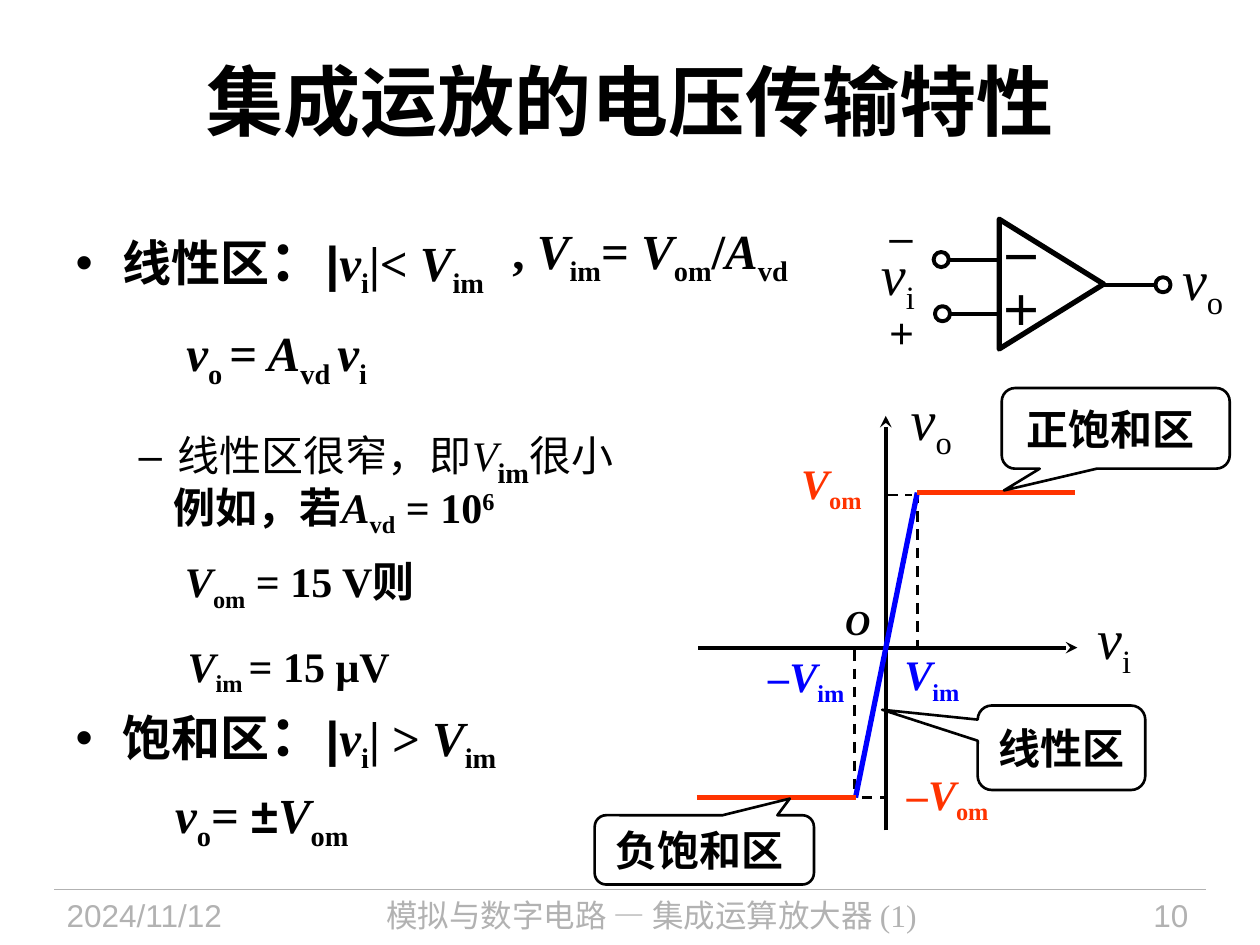
"""Build the slide on the voltage transfer curve of an integrated op-amp."""
from lxml import etree
from pptx import Presentation
from pptx.dml.color import RGBColor
from pptx.enum.dml import MSO_LINE
from pptx.enum.shapes import MSO_CONNECTOR, MSO_SHAPE
from pptx.enum.text import MSO_ANCHOR, MSO_AUTO_SIZE, PP_ALIGN
from pptx.oxml.ns import qn
from pptx.util import Inches, Pt

STRAIGHT = MSO_CONNECTOR.STRAIGHT
CALLOUT = MSO_SHAPE.ROUNDED_RECTANGULAR_CALLOUT
TRIANGLE, OVAL = MSO_SHAPE.ISOSCELES_TRIANGLE, MSO_SHAPE.OVAL
DASH = MSO_LINE.DASH
MIDDLE, NO_FIT = MSO_ANCHOR.MIDDLE, MSO_AUTO_SIZE.NONE
LEFT, CENTER, RIGHT = PP_ALIGN.LEFT, PP_ALIGN.CENTER, PP_ALIGN.RIGHT
COLORS = {"black": "000000", "white": "FFFFFF", "gray": "B2B2B2",
          "red": "FF3300", "blue": "0000FF"}
SANS, SERIF = "Arial", "Times New Roman"
BASELINES = {"_": "-25000", "^": "30000"}


def rgb(name):
    return RGBColor.from_string(COLORS[name])


def var(name, sub):
    return [(name, "i"), (sub, "_")]


def write(p, runs, size=24, color="black", bold=True, font=SERIF):
    """Add (text, flags[, size[, font[, bold]]]) runs; flags: i, _ and ^."""
    for text, flags, *own in runs:
        own_size, own_font, own_bold = own + [size, font, bold][len(own):]
        r = p.add_run()
        r.text = text
        r.font.size, r.font.name = Pt(own_size), own_font
        r.font.bold, r.font.italic = own_bold, "i" in flags
        r.font.color.rgb = rgb(color)
        for mark, value in BASELINES.items():
            if mark in flags:
                r.font._element.set("baseline", value)


def place(sp, box):
    sp.left, sp.top, sp.width, sp.height = map(Inches, box)


def add_text(s, box, runs, align=LEFT, wrap=False, inset=True, spacing=1, **style):
    tf = s.shapes.add_textbox(*map(Inches, box)).text_frame
    tf.word_wrap = wrap
    if not inset:
        tf.margin_left = tf.margin_right = tf.margin_top = tf.margin_bottom = 0
    p = tf.paragraphs[0]
    p.alignment, p.line_spacing = align, spacing
    write(p, runs, **style)


def add_line(s, start, end, color="black", width=2.25, dash=False, arrow=False):
    line = s.shapes.add_connector(STRAIGHT, *map(Inches, start + end))
    line.line.color.rgb, line.line.width = rgb(color), Pt(width)
    if dash:
        line.line.dash_style = DASH
    if arrow:
        etree.SubElement(line.line._get_or_add_ln(), qn("a:tailEnd"), type="stealth")
    etree.SubElement(line._element.spPr, qn("a:effectLst"))


def add_outline(s, kind, box, width, fill=None):
    sp = s.shapes.add_shape(kind, *map(Inches, box))
    sp.shadow.inherit = False
    sp.line.color.rgb, sp.line.width = rgb("black"), Pt(width)
    if fill:
        sp.fill.solid()
        sp.fill.fore_color.rgb = rgb(fill)
    else:
        sp.fill.background()
    return sp


def add_callout(s, box, tip, text):
    sp = add_outline(s, CALLOUT, box, 1.5)
    sp.adjustments[0], sp.adjustments[1] = tip
    tf = sp.text_frame
    tf.word_wrap, tf.vertical_anchor = False, MIDDLE
    tf.paragraphs[0].alignment = CENTER
    write(tf.paragraphs[0], [(text, "")])


def fill_list(sp, box, items, spacing):
    """Write (level, indent without bullet or None, space before, runs) items."""
    place(sp, box)
    tf = sp.text_frame
    tf.auto_size, tf.word_wrap = NO_FIT, True
    for i, (level, indent, before, runs) in enumerate(items):
        p = tf.add_paragraph() if i else tf.paragraphs[0]
        p.level, p.line_spacing = level, spacing
        p.space_before, p.space_after = Pt(before), Pt(6)
        if indent is not None:
            pPr = p._p.get_or_add_pPr()
            pPr.set("marL", str(Inches(indent)))
            pPr.set("indent", "0")
            etree.SubElement(pPr, qn("a:buNone"))
        write(p, runs, size=28)


def region(name, relation):
    return [(name, "", 28, SANS), ("：", "", 32, SANS), ("|", "", 28, SANS),
            *var("v", "i"), (relation, ""), *var("V", "im")]


def add_lists(s):
    linear, saturated = s.placeholders[1], s.placeholders[2]
    fill_list(linear, (0.5, 1.62, 5.13, 2.52), [
        (0, None, 0, region("线性区", "|< ")),
        (1, 0.88, 0, [("v", "i"), ("o ", "_"), ("=", ""), (" A", "i"),
                      ("vd ", "_"), *var("v", "i")]),
        (1, None, 5, [("线性区很窄，即", "", 24, SANS, False),
                      ("V", "i", 24, SERIF, False), ("im", "_"),
                      ("很小", "", 24, SANS, False)]),
    ], 1.2)
    fill_list(saturated, (0.5, 5.51, 4.03, 1.43), [
        (0, None, 0, region("饱和区", "| > ")),
        (1, 0.79, 0, [*var("v", "o"), ("= ", ""), ("±", "", 28, SANS),
                      *var("V", "om")]),
    ], 1)


def add_formulas(s):
    add_text(s, (1.28, 3.77, 3.72, 0.5),
             [("例如，若", ""), *var("A", "vd"), (" = 10", ""), ("6", "^")], wrap=True)
    add_text(s, (1.37, 4.36, 2.14, 0.5), [*var("V", "om"), (" = 15 V则", "")], wrap=True)
    add_text(s, (1.39, 4.94, 1.99, 0.58), [*var("V", "im "), ("= 15 μV", "")], spacing=1.2)
    add_text(s, (3.9, 1.7, 2.52, 0.57),
             [(", ", ""), *var("V", "im"), ("= ", ""), *var("V", "om"),
              ("/", ""), *var("A", "vd")], CENTER, size=28)


def add_curve(s):
    left, right, top, bottom, axis_x, axis_y = 6.79, 7.28, 3.91, 6.33, 7.03, 5.14
    for start, end in (((6.84, bottom), (7.04, bottom)), ((7.04, 3.93), (7.24, 3.93)),
                       ((6.78, 5.16), (6.78, bottom)), ((right, top), (right, 5.16))):
        add_line(s, start, end, width=1.5, dash=True)
    add_line(s, (axis_x, 6.59), (axis_x, 3.3), arrow=True)
    add_line(s, (5.54, axis_y), (8.55, axis_y), arrow=True)
    add_line(s, (right, top), (left, bottom), "blue", 3)
    add_line(s, (right, top), (8.53, top), "red", 3)
    add_line(s, (5.53, bottom), (left, bottom), "red", 3)
    for box, name, sub, color in (
            ((6.26, 3.58, 0.72, 0.5), "V", "om", "red"),
            ((7.1, 6.05, 0.89, 0.5), "–V", "om", "red"),
            ((7.08, 5.1, 0.67, 0.5), "V", "im", "blue"),
            ((6, 5.11, 0.84, 0.5), "–V", "im", "blue")):
        add_text(s, box, var(name, sub), color=color)
    add_callout(s, (7.76, 5.6, 1.33, 0.67), (-1.07, -0.45), "线性区")
    add_callout(s, (7.95, 3.08, 1.81, 0.64), (-0.49, 0.77), "正饱和区 ")
    add_callout(s, (4.72, 6.47, 1.74, 0.55), (0.39, -0.74), "负饱和区 ")
    add_text(s, (8.61, 4.74, 0.56, 0.63), var("v", "i"), wrap=True, size=32, bold=False)
    add_text(s, (7.13, 3.06, 0.67, 0.53), var("v", "o"), wrap=True, spacing=0.8,
             size=32, bold=False)
    add_text(s, (6.61, 4.72, 0.4, 0.43), [("O", "i")], size=20)


def add_amplifier(s):
    add_text(s, (7.84, 2.21, 0.61, 0.5), [("＋", "")], wrap=True)
    add_text(s, (7.84, 1.79, 0.55, 0.5), [("－", "")], wrap=True)
    for x, y in ((7.54, 2.06), (7.54, 2.49), (8.76, 2.26)):
        add_line(s, (x, y), (x + 0.41, y))
    add_outline(s, TRIANGLE, (7.83, 1.84, 1.03, 0.83), 3).rotation = 90
    for box, sub in (((6.88, 1.9, 0.39, 0.53), "i"), ((9.27, 1.94, 0.45, 0.53), "o")):
        add_text(s, box, [(" ", ""), *var("v", sub)], inset=False, size=32, bold=False)
    for y, sign in ((2.38, "+"), (1.62, "–")):
        add_text(s, (6.96, y, 0.4, 0.5), [(sign, "")], bold=False, font=SANS)
    for x, y in ((9.17, 2.2), (7.41, 2), (7.42, 2.43)):
        add_outline(s, OVAL, (x, y, 0.12, 0.12), 2.25, "white")


def add_footer(s):
    add_line(s, (0.43, 7.06), (9.57, 7.06), "gray", 0.75)
    for x, width, text, align, font in (
            (0.43, 1.88, "2024/11/12", LEFT, SANS),
            (2.49, 5.36, "模拟与数字电路 — 集成运算放大器 (1)", CENTER, SERIF),
            (8.2, 1.33, "10", RIGHT, SANS)):
        add_text(s, (x, 7.06, width, 0.44), [(text, "")], align, wrap=True,
                 size=18, color="gray", bold=False, font=font)


def main():
    prs = Presentation()
    prs.slide_width, prs.slide_height = Inches(10), Inches(7.5)
    s = prs.slides.add_slide(prs.slide_layouts[3])
    title = s.shapes.title
    place(title, (0.5, 0.17, 9, 1.25))
    title.text_frame.vertical_anchor = MIDDLE
    title.text_frame.paragraphs[0].alignment = CENTER
    write(title.text_frame.paragraphs[0], [("集成运放的电压传输特性", "")],
          size=44, font=SANS)
    add_footer(s)
    add_lists(s)
    add_curve(s)
    add_formulas(s)
    add_amplifier(s)
    prs.save("out.pptx")


if __name__ == "__main__":
    main()
